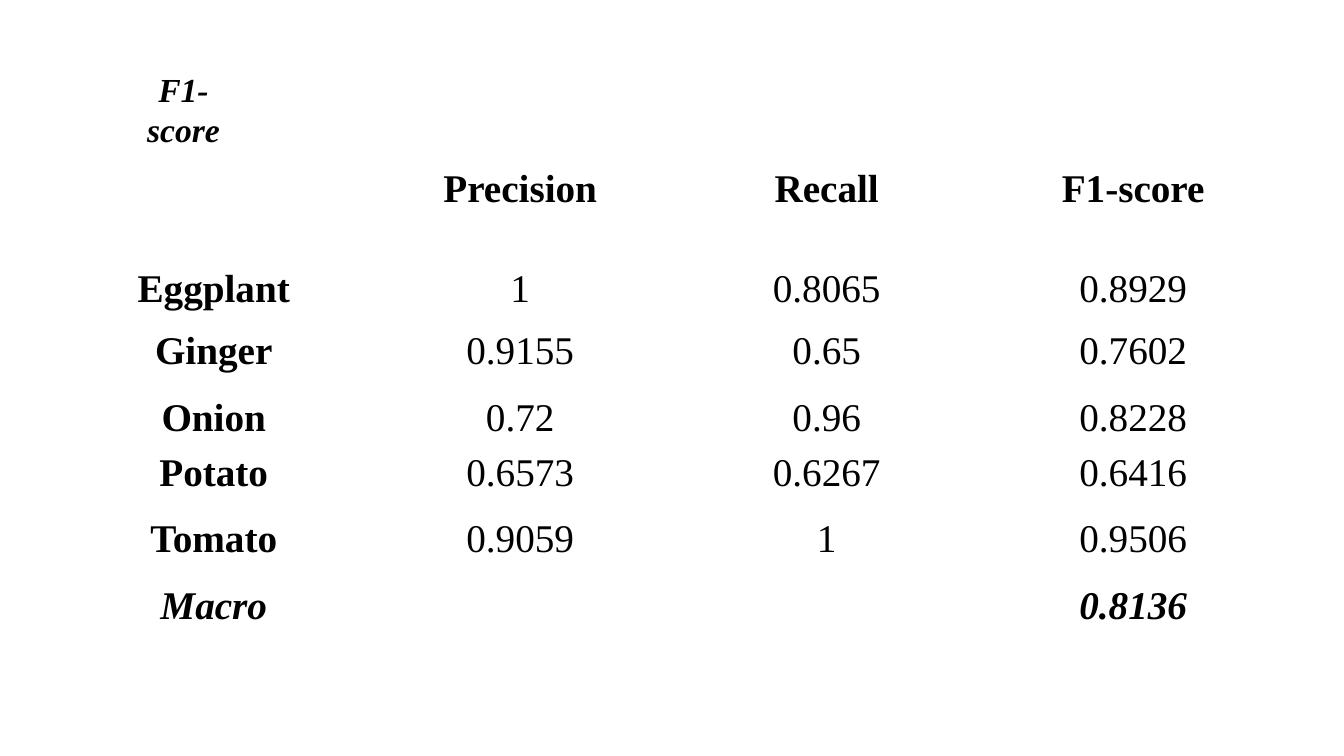
"""Build the slide with the precision, recall and F1-score table."""
from pptx import Presentation
from pptx.dml.color import RGBColor
from pptx.enum.text import MSO_ANCHOR, MSO_AUTO_SIZE, PP_ALIGN
from pptx.util import Inches, Pt

BLACK = RGBColor(0x00, 0x00, 0x00)
FONT = "Times New Roman"
TITLE_ONLY = 5

SCORES = [
    ("", "Precision", "Recall", "F1-score"),
    ("Eggplant", "1", "0.8065", "0.8929"),
    ("Ginger", "0.9155", "0.65", "0.7602"),
    ("Onion", "0.72", "0.96", "0.8228"),
    ("Potato", "0.6573", "0.6267", "0.6416"),
    ("Tomato", "0.9059", "1", "0.9506"),
    ("Macro", "", "", "0.8136"),
]
ROW_HEIGHTS = [0.99, 0.62, 0.66, 0.55, 0.66, 0.66, 0.55]


class ScoreSlide:
    def __init__(self, presentation):
        layout = presentation.slide_layouts[TITLE_ONLY]
        self.slide = presentation.slides.add_slide(layout)

    def set_text(self, paragraph, text, size, bold=False, italic=False):
        paragraph.text = text
        paragraph.alignment = PP_ALIGN.CENTER
        font = paragraph.font
        font.name, font.size = FONT, Pt(size)
        font.bold, font.italic = bold, italic
        font.color.rgb = BLACK

    def title(self, text, left, top, width, height):
        shape = self.slide.shapes.title
        shape.left, shape.top = Inches(left), Inches(top)
        shape.width, shape.height = Inches(width), Inches(height)
        frame = shape.text_frame
        frame.auto_size = MSO_AUTO_SIZE.NONE
        frame.word_wrap = True
        frame.vertical_anchor = MSO_ANCHOR.TOP
        frame.margin_left = frame.margin_right = Inches(0.15)
        self.set_text(frame.paragraphs[0], text, 24, bold=True, italic=True)

    def table(self, rows, row_heights, left, top, column_width):
        columns = len(rows[0])
        table = self.slide.shapes.add_table(
            len(rows), columns, Inches(left), Inches(top),
            Inches(column_width * columns), Inches(sum(row_heights))).table
        table.first_row = table.horz_banding = False
        for column in table.columns:
            column.width = Inches(column_width)
        for r, values in enumerate(rows):
            table.rows[r].height = Inches(row_heights[r])
            is_macro = r == len(rows) - 1
            for c, value in enumerate(values):
                cell = table.cell(r, c)
                cell.fill.background()
                cell.margin_left = cell.margin_right = 0
                cell.margin_top = cell.margin_bottom = 0
                self.set_text(cell.text_frame.paragraphs[0], value, 28,
                              bold=r == 0 or c == 0 or is_macro,
                              italic=is_macro)


def main():
    presentation = Presentation()
    presentation.slide_width = Inches(13.33)
    presentation.slide_height = Inches(7.5)
    score_slide = ScoreSlide(presentation)
    score_slide.table(SCORES, ROW_HEIGHTS, 0.6, 1.66, 3.04)
    score_slide.title("F1-score", 1.11, 0.63, 1.42, 0.5)
    presentation.save("out.pptx")


if __name__ == "__main__":
    main()
